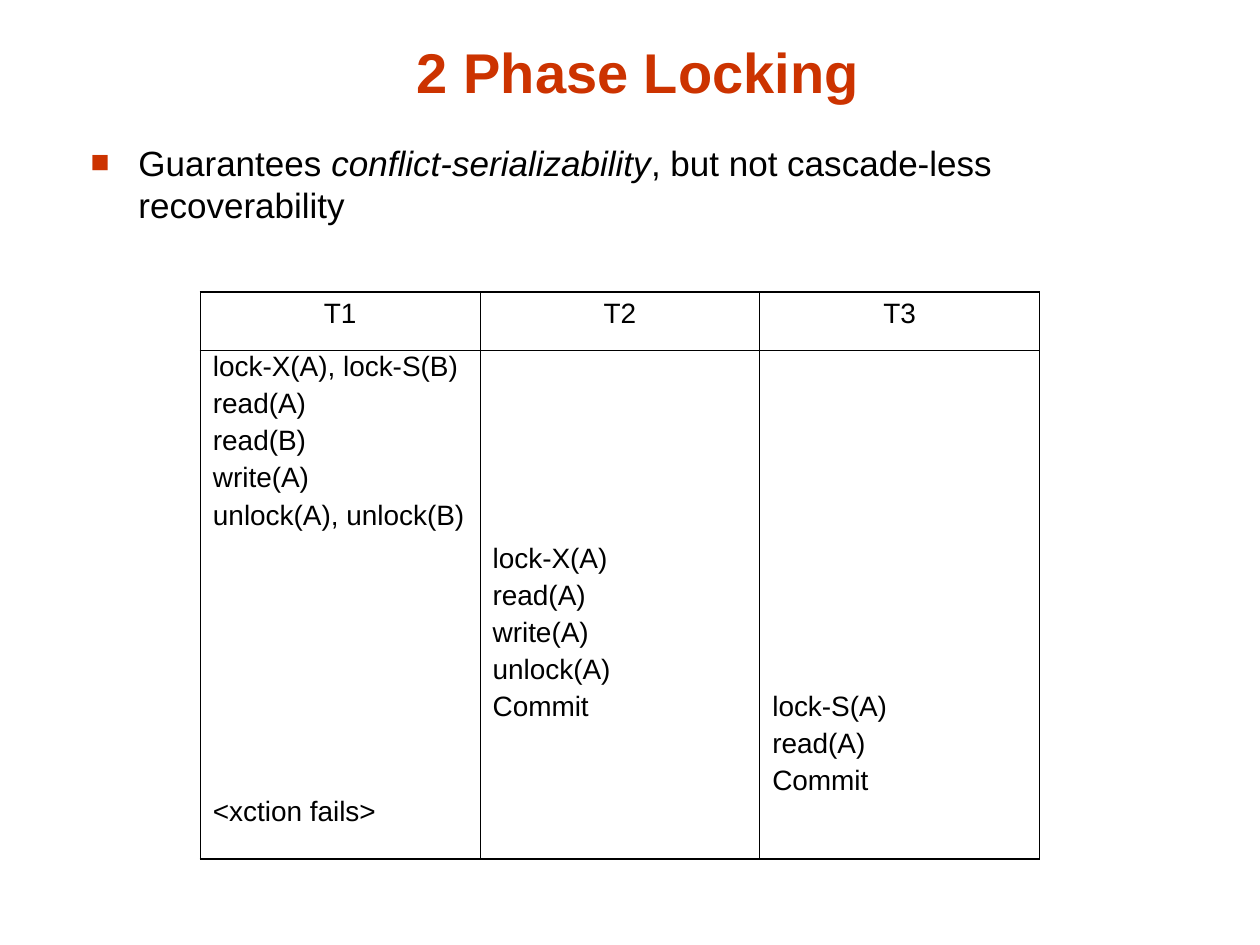
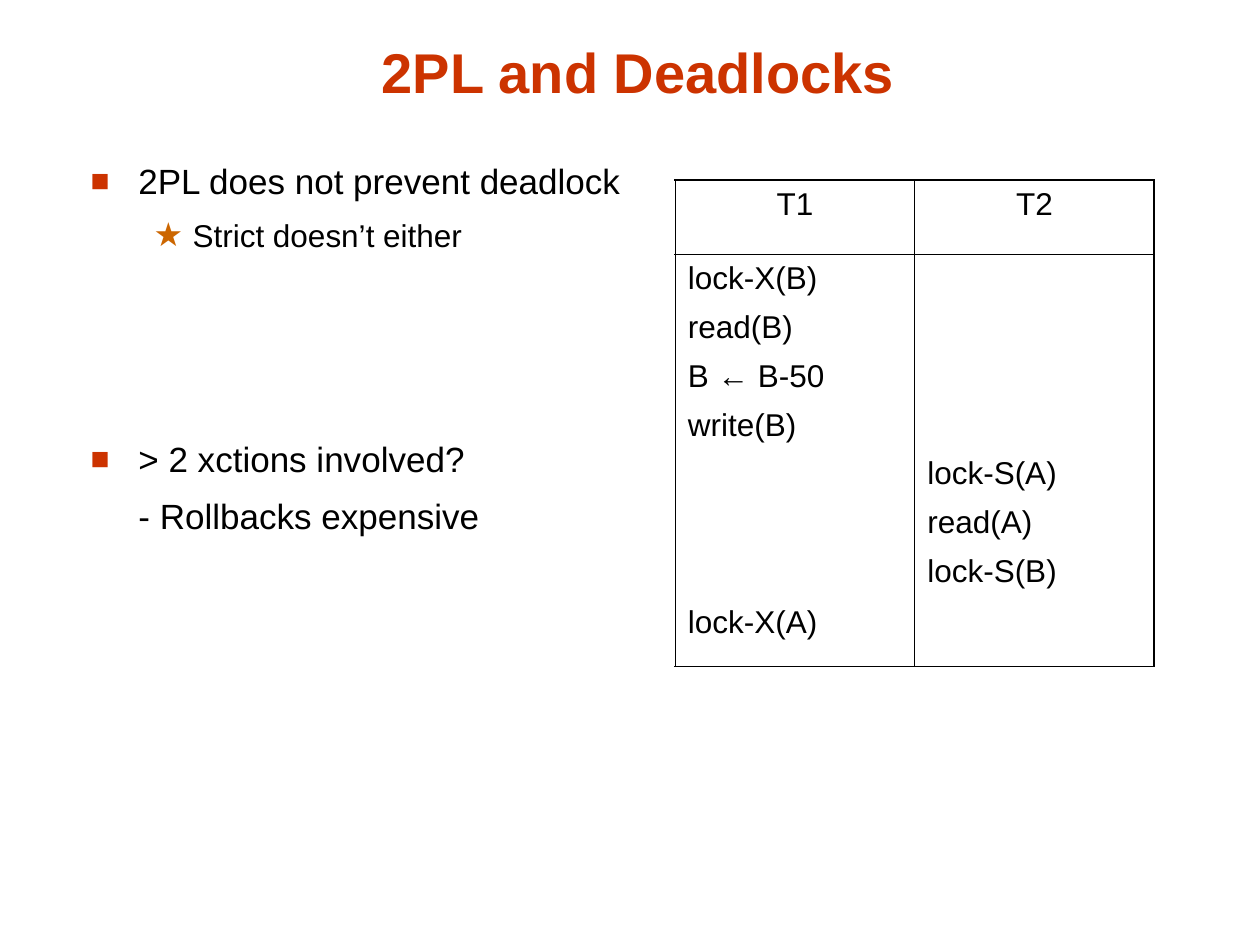
from dataclasses import dataclass

from lxml.etree import SubElement
from pptx import Presentation
from pptx.dml.color import RGBColor
from pptx.enum.text import MSO_ANCHOR, PP_ALIGN
from pptx.oxml import parse_xml
from pptx.oxml.ns import nsdecls, qn
from pptx.util import Inches, Pt


@dataclass(frozen=True)
class Theme:
    font: str = "Arial"
    title_color: str = "CC3300"
    text_color: str = "000000"
    star_color: str = "CC6600"
    title_size: int = 32
    point_size: int = 20
    subpoint_size: int = 18
    point_gap: float = 8.8
    subpoint_gap: float = 7.9
    outer_line: float = 1.08
    inner_line: float = 0.45


THEME = Theme()
CELL_MARGIN = 0.05


@dataclass(frozen=True)
class ScheduleStyle:
    """Type and line rhythm of a schedule; pitch is the step between lines."""
    size: int
    gap: float
    pitch: float
    spacing: float = 1.0
    late_start: float = 0.0


COMPACT = ScheduleStyle(size=16, gap=7, pitch=21.2, spacing=0.8, late_start=0.05)
ROOMY = ScheduleStyle(size=18, gap=7.9, pitch=28.2, late_start=-0.02)


def write_text(paragraph, text, size=THEME.point_size, color=THEME.text_color,
               bold=False, italic=False):
    run = paragraph.add_run()
    run.text = text
    font = run.font
    font.name, font.size = THEME.font, Pt(size)
    font.bold, font.italic = bold, italic
    font.color.rgb = RGBColor.from_string(color)


def next_paragraph(frame):
    """Return the unused first paragraph, or a new one."""
    first = frame.paragraphs[0]
    return frame.add_paragraph() if first.runs else first


def add_frame(slide, left, top, width, height, anchor=MSO_ANCHOR.TOP):
    box = slide.shapes.add_textbox(Inches(left), Inches(top),
                                   Inches(width), Inches(height))
    frame = box.text_frame
    frame.word_wrap = True
    frame.vertical_anchor = anchor
    return frame


def add_title(slide, text):
    frame = add_frame(slide, 0.65, 0.21, 8.83, 0.67, MSO_ANCHOR.BOTTOM)
    heading = frame.paragraphs[0]
    heading.alignment = PP_ALIGN.CENTER
    write_text(heading, text, size=THEME.title_size, color=THEME.title_color, bold=True)


def add_bullet(properties, char, color, percent):
    bullet_color = SubElement(properties, qn("a:buClr"))
    SubElement(bullet_color, qn("a:srgbClr"), val=color)
    SubElement(properties, qn("a:buSzPct"), val=str(percent * 1000))
    SubElement(properties, qn("a:buFont"), typeface=THEME.font)
    SubElement(properties, qn("a:buChar"), char=char)


def add_item(frame, gap, indent, hanging=0.0, bullet=None):
    item = next_paragraph(frame)
    item.space_before = Pt(gap)
    properties = item._p.get_or_add_pPr()
    properties.set("marL", str(Inches(indent)))
    properties.set("indent", str(-Inches(hanging)))
    if bullet:
        add_bullet(properties, *bullet)
    return item


def add_point(frame, gap=THEME.point_gap):
    return add_item(frame, gap, 0.38, 0.38, ("■", THEME.title_color, 90))


def add_subpoint(frame):
    return add_item(frame, THEME.subpoint_gap, 0.81, 0.31, ("★", THEME.star_color, 105))


def set_borders(cell, outer_sides):
    properties = cell._tc.get_or_add_tcPr()
    for position, side in enumerate("LRTB"):
        width = THEME.outer_line if side in outer_sides else THEME.inner_line
        properties.insert(position, parse_xml(
            f'<a:ln{side} {nsdecls("a")} w="{Pt(width)}"><a:solidFill>'
            f'<a:srgbClr val="{THEME.text_color}"/></a:solidFill></a:ln{side}>'))


def fill_steps(cell, bursts, style):
    """Write bursts of (first time slot, steps); idle slots become spacing."""
    slot = 0
    for start, steps in bursts:
        idle = (start - slot) * style.pitch
        if slot == 0 and start:
            cell.margin_top = Inches(CELL_MARGIN + idle / 72 + style.late_start)
            idle = 0
        for number, step in enumerate(steps):
            line = next_paragraph(cell.text_frame)
            line.line_spacing = style.spacing
            line.space_before = Pt(style.gap + (idle if number == 0 else 0))
            write_text(line, step, size=style.size)
        slot = start + len(steps)


def add_schedule(slide, left, top, column_width, row_heights, transactions, style):
    count = len(transactions)
    table = slide.shapes.add_table(2, count, Inches(left), Inches(top),
                                   Inches(column_width * count),
                                   Inches(sum(row_heights))).table
    table.first_row = table.horz_banding = False
    for row, height in zip(table.rows, row_heights):
        row.height = Inches(height)

    for column, (name, bursts) in enumerate(transactions.items()):
        table.columns[column].width = Inches(column_width)
        outer = ("L" if column == 0 else "") + ("R" if column == count - 1 else "")
        header, body = table.cell(0, column), table.cell(1, column)
        for cell, edge in ((header, "T"), (body, "B")):
            cell.fill.background()
            cell.margin_top = cell.margin_bottom = Inches(CELL_MARGIN)
            set_borders(cell, outer + edge)
        label = header.text_frame.paragraphs[0]
        label.alignment = PP_ALIGN.CENTER
        write_text(label, name, size=style.size)
        fill_steps(body, bursts, style)


def add_slide(deck, title):
    slide = deck.slides.add_slide(deck.slide_layouts[6])
    add_title(slide, title)
    return slide


def build_two_phase_locking(deck):
    slide = add_slide(deck, "2 Phase Locking")
    guarantee = add_point(add_frame(slide, 0.62, 1.07, 8.58, 1))
    write_text(guarantee, "Guarantees ")
    write_text(guarantee, "conflict-serializability", italic=True)
    write_text(guarantee, ", but not cascade-less recoverability")

    # Cascading schedule
    add_schedule(slide, 1.59, 2.32, 2.22, (0.46, 4.04), {
        "T1": [(0, ["lock-X(A), lock-S(B)", "read(A)", "read(B)", "write(A)",
                    "unlock(A), unlock(B)"]),
               (12, ["<xction fails>"])],
        "T2": [(5, ["lock-X(A)", "read(A)", "write(A)", "unlock(A)", "Commit"])],
        "T3": [(9, ["lock-S(A)", "read(A)", "Commit"])],
    }, COMPACT)


def build_deadlocks(deck):
    slide = add_slide(deck, "2PL and Deadlocks")
    points = add_frame(slide, 0.62, 1.22, 8.58, 5.33)
    write_text(add_point(points), "2PL does not prevent deadlock")
    write_text(add_subpoint(points), "Strict doesn’t either", size=THEME.subpoint_size)
    write_text(add_point(points, gap=105), "> 2 xctions involved?")
    write_text(add_item(points, THEME.point_gap, 0.38), "- Rollbacks expensive")

    # Deadlocked schedule
    add_schedule(slide, 5.36, 1.43, 1.9, (0.59, 3.27), {
        "T1": [(0, ["lock-X(B)", "read(B)", "B ← B-50", "write(B)"]),
               (7, ["lock-X(A)"])],
        "T2": [(4, ["lock-S(A)", "read(A)", "lock-S(B)"])],
    }, ROOMY)


def main():
    deck = Presentation()
    deck.slide_width, deck.slide_height = Inches(10), Inches(7.5)
    build_two_phase_locking(deck)
    build_deadlocks(deck)
    deck.save("out.pptx")


if __name__ == "__main__":
    main()
